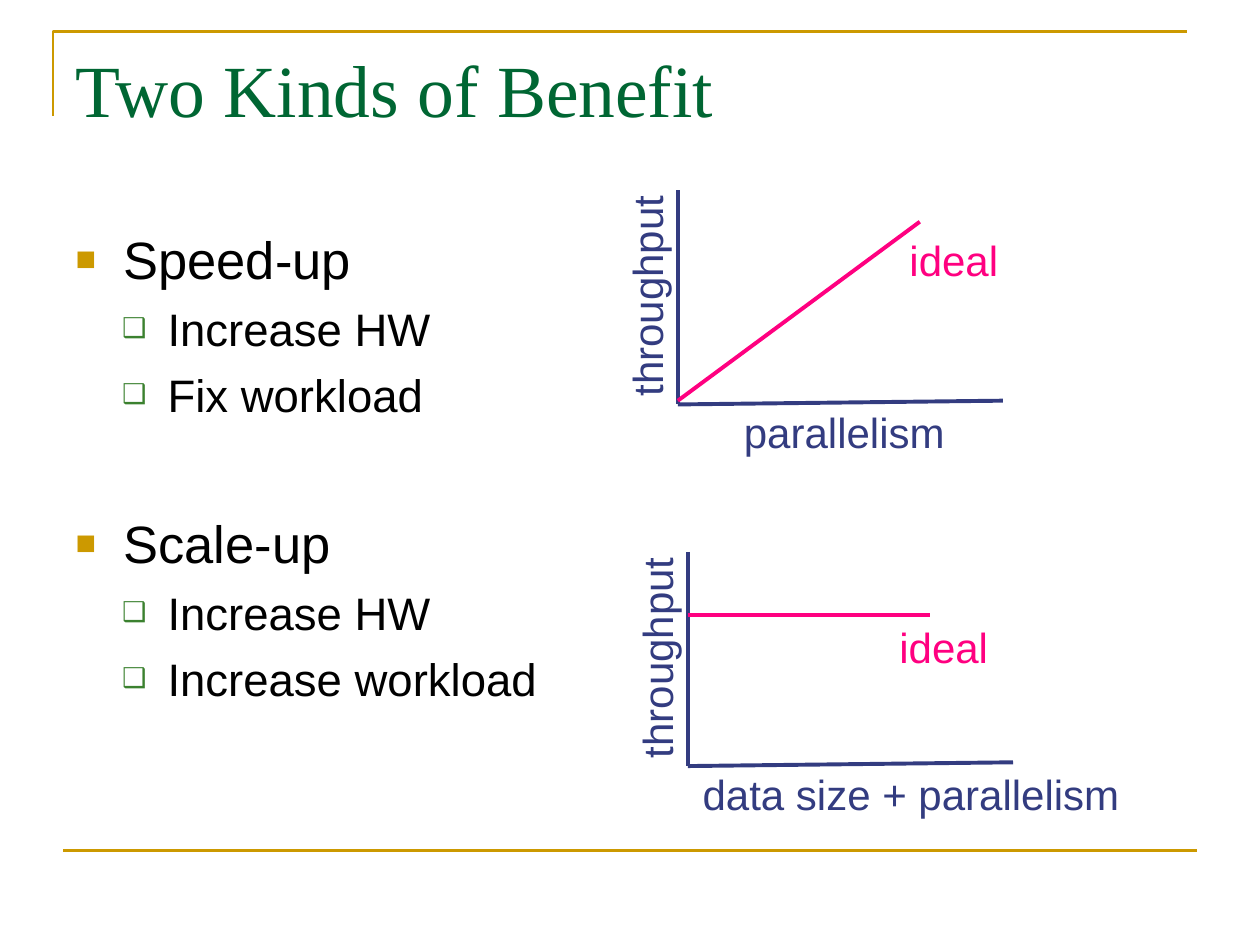
from lxml.etree import SubElement
from pptx import Presentation
from pptx.dml.color import RGBColor
from pptx.enum.shapes import MSO_CONNECTOR
from pptx.enum.text import MSO_ANCHOR, MSO_AUTO_SIZE, PP_ALIGN
from pptx.oxml.ns import qn
from pptx.util import Inches, Pt

GOLD = RGBColor(0xCC, 0x99, 0x00)
LEAF = RGBColor(0x3B, 0x81, 0x2F)
GREEN = RGBColor(0x00, 0x66, 0x33)
BLACK = RGBColor(0x00, 0x00, 0x00)
NAVY = RGBColor(0x33, 0x3C, 0x80)
PINK = RGBColor(0xFF, 0x00, 0x80)

# Per list level: size, left margin, indent, bullet, bullet colour, bullet size
LEVELS = [
    (30, 0.38, -0.38, "■", GOLD, 65),
    (26, 0.73, -0.36, "❑", LEAF, 60),
]
SECTION_GAP = 50.8
DETAIL_GAP = 6.5
BENEFITS = [
    ("Speed-up", ["Increase HW", "Fix workload"]),
    ("Scale-up", ["Increase HW", "Increase workload"]),
]


def add_line(shapes, start, end, color, width=2.25):
    line = shapes.add_connector(
        MSO_CONNECTOR.STRAIGHT, *(Inches(value) for value in (*start, *end)))
    line.line.color.rgb = color
    line.line.width = Pt(width)
    SubElement(line._element.spPr, qn("a:effectLst"))


def add_run(paragraph, text, size, color, font_name="Arial"):
    run = paragraph.add_run()
    run.text = text
    run.font.size = Pt(size)
    run.font.name = font_name
    run.font.color.rgb = color


def add_label(shapes, text, center, width, color, rotation=0):
    height = 0.5
    box = shapes.add_textbox(
        Inches(center[0] - width / 2), Inches(center[1] - height / 2),
        Inches(width), Inches(height))
    box.rotation = rotation
    frame = box.text_frame
    frame.word_wrap = False
    frame.margin_left = frame.margin_right = 0
    frame.paragraphs[0].alignment = PP_ALIGN.CENTER
    add_run(frame.paragraphs[0], text, 24, color)


def place_placeholder(shape, left, top, width, height):
    shape.left, shape.top = Inches(left), Inches(top)
    shape.width, shape.height = Inches(width), Inches(height)
    frame = shape.text_frame
    frame.auto_size = MSO_AUTO_SIZE.NONE
    frame.vertical_anchor = MSO_ANCHOR.TOP
    return frame


def add_list_item(frame, text, level, space_before):
    first = not frame.paragraphs[0].runs
    paragraph = frame.paragraphs[0] if first else frame.add_paragraph()
    size, margin, indent, bullet, color, bullet_size = LEVELS[level]
    properties = paragraph._p.get_or_add_pPr()
    properties.set("marL", str(Inches(margin)))
    properties.set("indent", str(Inches(indent)))
    bullet_color = SubElement(properties, qn("a:buClr"))
    SubElement(bullet_color, qn("a:srgbClr"), val=str(color))
    SubElement(properties, qn("a:buSzPct"), val=str(bullet_size * 1000))
    SubElement(properties, qn("a:buFont"), typeface="Arial")
    SubElement(properties, qn("a:buChar"), char=bullet)
    paragraph.level = level
    paragraph.space_before = Pt(0 if first else space_before)
    add_run(paragraph, text, size, BLACK)


def add_frame(shapes):
    # Corner rule around the title and rule at the foot
    builder = shapes.build_freeform(Inches(0.42), Inches(0.92))
    builder.add_line_segments(
        [(Inches(0.42), Inches(0.25)), (Inches(9.42), Inches(0.25))], close=False)
    corner = builder.convert_to_shape()
    corner.shadow.inherit = False
    corner.fill.background()
    corner.line.color.rgb = GOLD
    corner.line.width = Pt(1.5)
    add_line(shapes, (0.5, 6.75), (9.5, 6.75), GOLD, 1.5)


def add_sketch(slide, origin, axis_label, label_center, label_width,
               ideal_rise, ideal_end_rise, ideal_center):
    """Draw axes, their labels and the ideal line, with rises above the origin."""
    shapes = slide.shapes.add_group_shape().shapes
    x, y = origin
    # Axes
    add_line(shapes, (x, y - 1.7), origin, NAVY)
    add_line(shapes, origin, (x + 2.58, y - 0.03), NAVY)
    add_label(shapes, axis_label, (label_center, y + 0.22), label_width, NAVY)
    add_label(shapes, "throughput", (x - 0.25, y - 0.86), 1.79, NAVY, 270)
    # Ideal behaviour
    add_line(shapes, (x, y - ideal_rise), (x + 1.92, y - ideal_end_rise), PINK)
    add_label(shapes, "ideal", ideal_center, 0.9, PINK)


def main():
    presentation = Presentation()
    presentation.slide_width, presentation.slide_height = Inches(10), Inches(7.5)
    slide = presentation.slides.add_slide(presentation.slide_layouts[1])
    add_frame(slide.shapes)

    # Title
    title = place_placeholder(slide.shapes.title, 0.5, 0.3, 9, 1.25)
    title.paragraphs[0].alignment = PP_ALIGN.LEFT
    add_run(title.paragraphs[0], "Two Kinds of Benefit", 42, GREEN, "Times New Roman")

    # Two-level list
    body = place_placeholder(slide.placeholders[1], 0.5, 1.75, 9, 4.95)
    for heading, details in BENEFITS:
        add_list_item(body, heading, 0, SECTION_GAP)
        for detail in details:
            add_list_item(body, detail, 1, DETAIL_GAP)

    # Throughput sketches
    add_sketch(slide, (5.38, 3.21), "parallelism", 6.7, 1.79,
               0.03, 1.45, (7.57, 2.06))
    add_sketch(slide, (5.46, 6.08), "data size + parallelism", 7.23, 3.5,
               1.2, 1.2, (7.49, 5.13))
    presentation.save("out.pptx")


if __name__ == "__main__":
    main()
